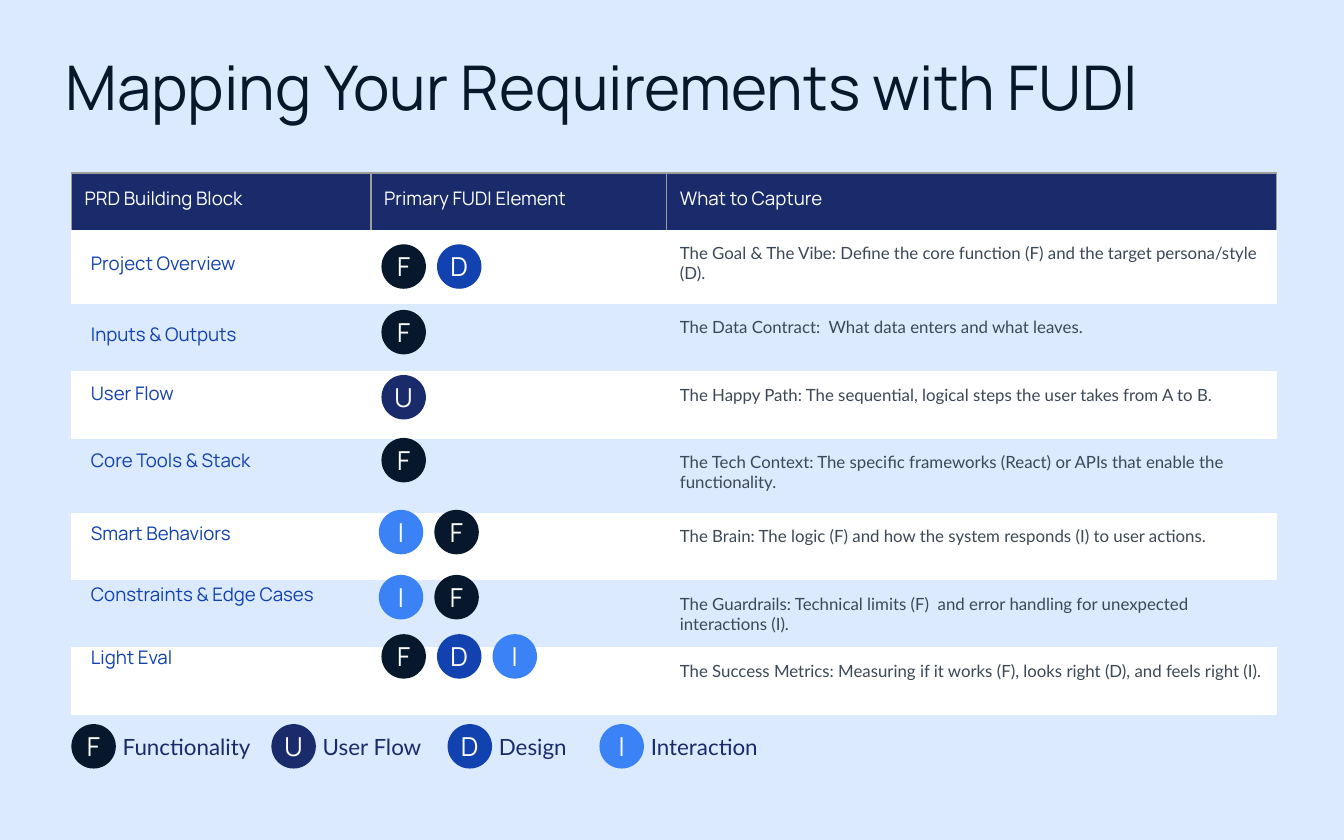
from pptx import Presentation
from pptx.dml.color import RGBColor as Rgb
from pptx.enum.shapes import MSO_SHAPE as Shape
from pptx.enum.text import MSO_ANCHOR as Anchor, PP_ALIGN as Align
from pptx.oxml import parse_xml
from pptx.oxml.ns import nsdecls, qn
from pptx.util import Cm, Pt

HUES = {
    "sky": "DBEAFE", "ink": "07182C", "navy": "1A2B6B", "blue": "1241B0",
    "azure": "3B82F6", "slate": "3C4856", "white": "FFFFFF", "rule": "9E9E9E",
}
HEAD, BODY = "Manrope", "Lato"
NO_GRID = "{2D5ABB26-0587-4C30-8999-92F81FD0307C}"

TITLE = "Mapping Your Requirements with FUDI"
HEADS = ["PRD Building Block", "Primary FUDI Element", "What to Capture"]
COLS = [5.66, 5.59, 11.53]
HEAD_H = 1.07

# block, label top, FUDI letters, first badge left, badge top, row height, text
ROWS = [
    ("Project Overview", 4.55, "FD", 7.21, 4.62, 1.41,
     "The Goal & The Vibe: Define the core function (F) and the target persona/style (D)."),
    ("Inputs & Outputs", 5.89, "F", 7.21, 5.86, 1.27,
     "The Data Contract:  What data enters and what leaves."),
    ("User Flow", 7.01, "U", 7.21, 7.09, 1.27,
     "The Happy Path: The sequential, logical steps the user takes from A to B."),
    ("Core Tools & Stack", 8.28, "F", 7.21, 8.28, 1.41,
     "The Tech Context: The specific frameworks (React) or APIs that enable the functionality."),
    ("Smart Behaviors", 9.65, "IF", 7.16, 9.64, 1.27,
     "The Brain: The logic (F) and how the system responds (I) to user actions."),
    ("Constraints & Edge Cases", 10.8, "IF", 7.16, 10.87, 1.27,
     "The Guardrails: Technical limits (F)  and error handling for unexpected interactions (I)."),
    ("Light Eval", 11.99, "FDI", 7.21, 11.99, 1.27,
     "The Success Metrics: Measuring if it works (F), looks right (D), and feels right (I)."),
]
BADGES = {"F": "ink", "U": "navy", "D": "blue", "I": "azure"}
LEGEND = [("F", "Functionality", 1.35), ("U", "User Flow", 5.13),
          ("D", "Design", 8.46), ("I", "Interaction", 11.33)]
LEGEND_Y = 13.69
DOT, STEP, GAP, PAD = 0.84, 1.05, 0.97, 0.25


def rgb(hue):
    return Rgb.from_string(HUES[hue])


def write(frame, text, size, font, hue):
    para = frame.paragraphs[0]
    run = para.add_run()
    run.text = text
    run.font.size, run.font.name = Pt(size), font
    run.font.color.rgb = rgb(hue)
    return para


def pad(item, size):
    item.margin_left = item.margin_right = Cm(size)
    item.margin_top = item.margin_bottom = Cm(size)


def label(slide, box, text, size, font, hue, inset=0, anchor=Anchor.MIDDLE):
    frame = slide.shapes.add_textbox(*map(Cm, box)).text_frame
    frame.word_wrap = True
    frame.vertical_anchor = anchor
    pad(frame, inset)
    return write(frame, text, size, font, hue)


def badge(slide, key, x, y):
    dot = slide.shapes.add_shape(Shape.OVAL, Cm(x), Cm(y), Cm(DOT), Cm(DOT))
    dot.shadow.inherit = False
    dot.fill.solid()
    dot.fill.fore_color.rgb = rgb(BADGES[key])
    dot.line.fill.background()
    frame = dot.text_frame
    frame.word_wrap = False
    frame.vertical_anchor = Anchor.MIDDLE
    pad(frame, 0)
    write(frame, key, 14, HEAD, "white").alignment = Align.CENTER


def edge(cell):
    """Rule the left, right and top of a header cell."""
    props = cell._tc.get_or_add_tcPr()
    for tag in ("lnL", "lnR", "lnT"):
        props.append(parse_xml(
            f'<a:{tag} {nsdecls("a")} w="9525"><a:solidFill>'
            f'<a:srgbClr val="{HUES["rule"]}"/></a:solidFill></a:{tag}>'))


def grid(slide):
    tall = [HEAD_H] + [row[5] for row in ROWS]
    table = slide.shapes.add_table(
        len(tall), len(COLS), Cm(1.35), Cm(3.27), Cm(sum(COLS)), Cm(sum(tall))).table
    table.first_row = table.horz_banding = False
    table._tbl.tblPr.find(qn("a:tableStyleId")).text = NO_GRID
    for col, wide in zip(table.columns, COLS):
        col.width = Cm(wide)
    texts = [HEADS] + [["", "", row[-1]] for row in ROWS]
    for i, (line, high) in enumerate(zip(texts, tall)):
        table.rows[i].height = Cm(high)
        for j, text in enumerate(line):
            cell = table.cell(i, j)
            pad(cell, PAD)
            if i == 0:
                edge(cell)
            if i == 0 or i % 2:
                cell.fill.solid()
                cell.fill.fore_color.rgb = rgb("white" if i else "navy")
            else:
                cell.fill.background()
            if text:
                style = (9, BODY, "slate") if i else (10, HEAD, "white")
                write(cell.text_frame, text, *style)


def main():
    deck = Presentation()
    deck.slide_width, deck.slide_height = Cm(25.4), Cm(15.88)
    slide = deck.slides.add_slide(deck.slide_layouts[6])
    slide.background.fill.solid()
    slide.background.fill.fore_color.rgb = rgb("sky")

    title = label(slide, (1.24, 1.19, 22.86, 1.12), TITLE, 33, HEAD, "ink")
    title.line_spacing = 0.8
    grid(slide)
    for name, top, keys, x, y, *_ in ROWS:
        label(slide, (1.47, top, 5.3, 0.66), name, 10, HEAD, "blue", PAD, Anchor.TOP)
        for i, key in enumerate(keys):
            badge(slide, key, x + i * STEP, y)
    for key, name, x in LEGEND:
        badge(slide, key, x, LEGEND_Y)
        label(slide, (x + GAP, LEGEND_Y, 2.8, DOT), name, 12, BODY, "navy")
    deck.save("out.pptx")


if __name__ == "__main__":
    main()
